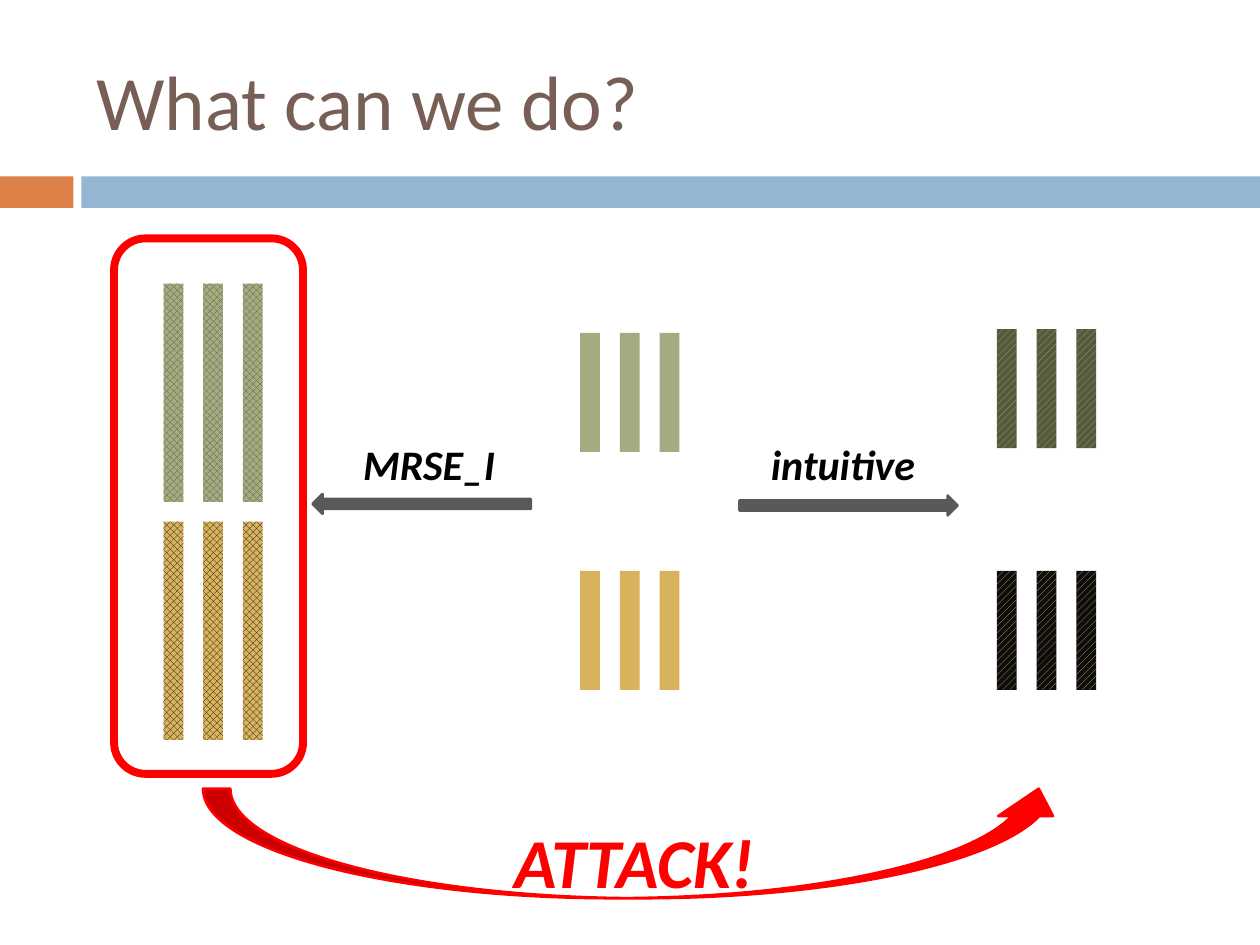
from dataclasses import dataclass
from typing import Optional

from pptx import Presentation
from pptx.dml.color import RGBColor
from pptx.enum.dml import MSO_PATTERN
from pptx.enum.shapes import MSO_SHAPE
from pptx.enum.text import MSO_ANCHOR, MSO_AUTO_SIZE
from pptx.util import Pt


@dataclass(frozen=True)
class Theme:
    """Colours, font and type sizes of the slide."""
    font: str = "Calibri"
    brown: str = "775F55"
    orange: str = "DD8047"
    blue: str = "94B6D2"
    green: str = "A5AB81"
    dark_green: str = "565A3C"
    gold: str = "D8B25C"
    ink: str = "0D0D0D"
    black: str = "000000"
    gray: str = "595959"
    red: str = "FF0000"
    title_size: float = 44
    label_size: float = 24
    attack_size: float = 40


@dataclass(frozen=True)
class Box:
    """Position and size in points."""
    left: float
    top: float
    width: float
    height: float

    def lengths(self) -> tuple:
        """Return the four lengths for a shape call."""
        return Pt(self.left), Pt(self.top), Pt(self.width), Pt(self.height)


@dataclass(frozen=True)
class Paint:
    """A solid fill, or a pattern over a second colour."""
    color: str
    pattern: Optional[MSO_PATTERN] = None
    back: str = ""


@dataclass(frozen=True)
class BarTrio:
    """Three equal vertical bars."""
    column: int
    top: float
    height: float
    paint: Paint


@dataclass(frozen=True)
class Label:
    """A line of text in its box."""
    text: str
    box: Box
    size: float
    color: str
    emphasis: bool = True
    anchor: MSO_ANCHOR = MSO_ANCHOR.TOP


THEME = Theme()
BAR_WIDTH, BAR_PITCH = 11.34, 22.68
FIRST_COLUMN, COLUMN_PITCH = 93.45, 238.12
SHORT, TALL = 68.04, 124.74
UPPER, LOWER = 190.2, 326.3
CHECK = MSO_PATTERN.LARGE_CHECKER_BOARD
DIAGONAL = MSO_PATTERN.WIDE_UPWARD_DIAGONAL

TRIOS = (
    BarTrio(0, 162, TALL, Paint(THEME.dark_green, CHECK, THEME.green)),
    BarTrio(0, 298.08, TALL, Paint(THEME.ink, CHECK, THEME.gold)),
    BarTrio(1, UPPER, SHORT, Paint(THEME.green)),
    BarTrio(1, LOWER, SHORT, Paint(THEME.gold)),
    BarTrio(2, 188.1, SHORT, Paint(THEME.green, DIAGONAL, THEME.dark_green)),
    BarTrio(2, LOWER, SHORT, Paint(THEME.gold, DIAGONAL, THEME.ink)),
)

LABELS = (
    Label("What can we do?", Box(48, 18, 642, 78), THEME.title_size, THEME.brown,
          False, MSO_ANCHOR.MIDDLE),
    Label("MRSE_I", Box(200.4, 247, 103, 36), THEME.label_size, THEME.black),
    Label("intuitive", Box(433.5, 247, 103, 36), THEME.label_size, THEME.black),
    Label("ATTACK!", Box(287, 464, 158, 55.5), THEME.attack_size, THEME.red),
)


def add_figure(shapes, kind: MSO_SHAPE, box: Box, paint: Optional[Paint] = None,
               line: str = "", weight: float = 1.5):
    """Draw one preset shape with its fill and outline."""
    figure = shapes.add_shape(kind, *box.lengths())
    figure.shadow.inherit = False
    if paint is None:
        figure.fill.background()
    elif paint.pattern is None:
        figure.fill.solid()
        figure.fill.fore_color.rgb = RGBColor.from_string(paint.color)
    else:
        figure.fill.patterned()
        figure.fill.pattern = paint.pattern
        figure.fill.fore_color.rgb = RGBColor.from_string(paint.color)
        figure.fill.back_color.rgb = RGBColor.from_string(paint.back)
    if line:
        figure.line.color.rgb = RGBColor.from_string(line)
        figure.line.width = Pt(weight)
    else:
        figure.line.fill.background()
    return figure


def add_trio(shapes, trio: BarTrio) -> None:
    """Draw three bars as one group."""
    group = shapes.add_group_shape()
    left = FIRST_COLUMN + trio.column * COLUMN_PITCH
    for index in range(3):
        bar = Box(left + index * BAR_PITCH, trio.top, BAR_WIDTH, trio.height)
        add_figure(group.shapes, MSO_SHAPE.RECTANGLE, bar, trio.paint)


def add_label(shapes, label: Label) -> None:
    """Write one label."""
    frame = shapes.add_textbox(*label.box.lengths()).text_frame
    frame.word_wrap = True
    frame.auto_size = MSO_AUTO_SIZE.NONE
    frame.vertical_anchor = label.anchor
    frame.text = label.text
    font = frame.paragraphs[0].runs[0].font
    font.name = THEME.font
    font.size = Pt(label.size)
    font.bold = font.italic = label.emphasis
    font.color.rgb = RGBColor.from_string(label.color)


def main() -> None:
    """Build the slide and save it."""
    deck = Presentation()
    deck.slide_width, deck.slide_height = Pt(720), Pt(540)
    shapes = deck.slides.add_slide(deck.slide_layouts[6]).shapes

    add_figure(shapes, MSO_SHAPE.RECTANGLE, Box(0, 100.8, 42, 18), Paint(THEME.orange))
    add_figure(shapes, MSO_SHAPE.RECTANGLE, Box(46.5, 100.8, 673.5, 18), Paint(THEME.blue))
    add_figure(shapes, MSO_SHAPE.ROUNDED_RECTANGLE, Box(65.2, 136.2, 108, 306),
               line=THEME.red, weight=4.5)
    for trio in TRIOS:
        add_trio(shapes, trio)

    gray = Paint(THEME.gray)
    encrypt = add_figure(shapes, MSO_SHAPE.RIGHT_ARROW, Box(178.6, 282.3, 124.7, 11.34),
                         gray, THEME.gray)
    encrypt.rotation = 180
    add_figure(shapes, MSO_SHAPE.RIGHT_ARROW, Box(422.5, 283.2, 124.7, 11.34),
               gray, THEME.gray)
    add_figure(shapes, MSO_SHAPE.CURVED_UP_ARROW, Box(116, 450.7, 493.2, 62.6),
               Paint(THEME.red), THEME.red)
    for label in LABELS:
        add_label(shapes, label)

    deck.save("out.pptx")


if __name__ == "__main__":
    main()
